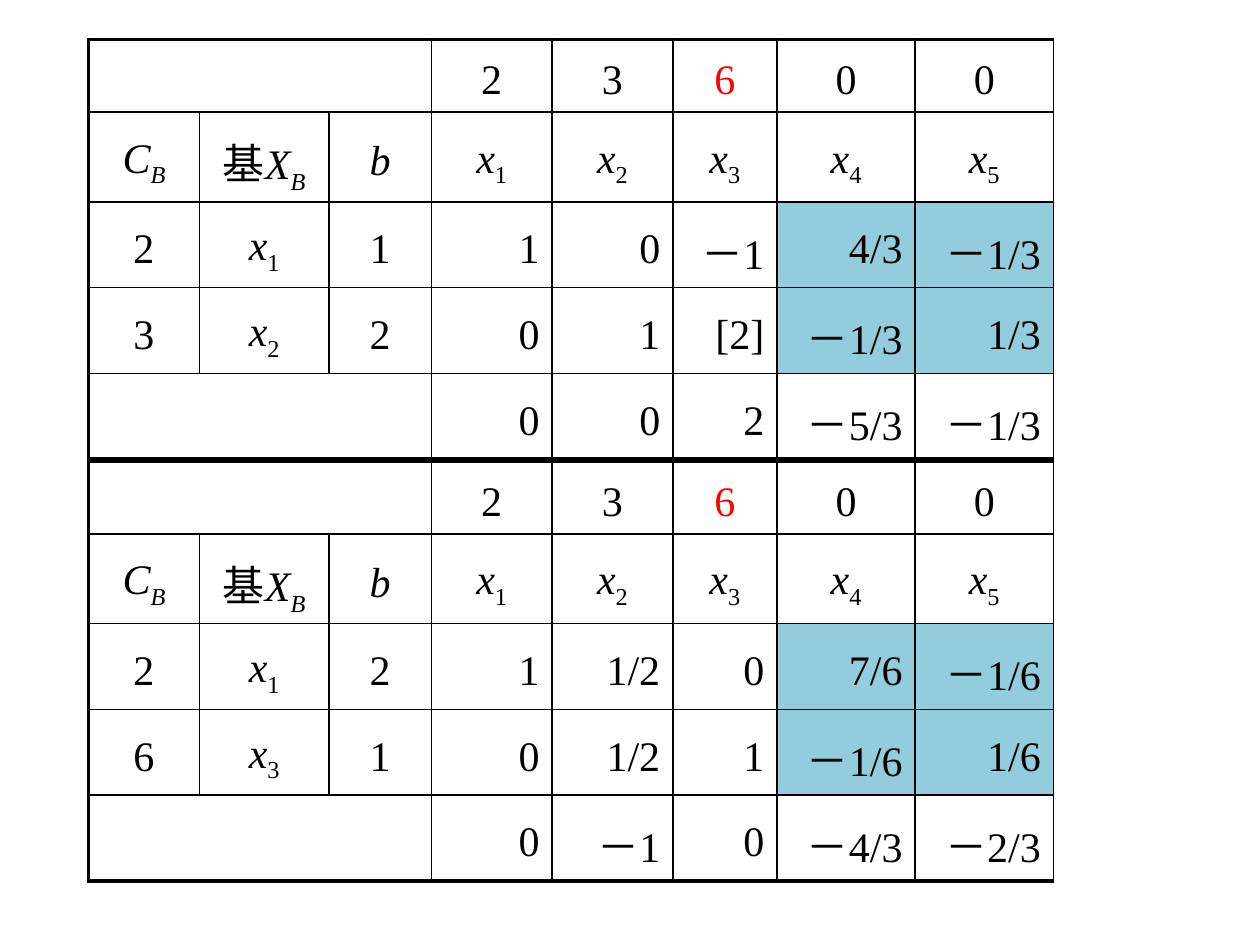
"""Build a slide with two consecutive simplex tableaux."""
from dataclasses import dataclass
from itertools import groupby

from lxml.etree import SubElement
from pptx import Presentation
from pptx.dml.color import RGBColor
from pptx.enum.text import MSO_ANCHOR, PP_ALIGN
from pptx.oxml.ns import qn
from pptx.util import Pt

BLACK = RGBColor(0x00, 0x00, 0x00)
RED = RGBColor(0xFF, 0x00, 0x00)
WHITE = RGBColor(0xFF, 0xFF, 0xFF)
BLUE = RGBColor(0x93, 0xCD, 0xDD)
FONT = "Times New Roman"
SIZE = Pt(24)
THIN, THICK = Pt(1), Pt(2.25)
LEFT = Pt(50.5)
COLUMN_WIDTHS = [Pt(w) for w in (63.5, 74, 58.5, 69, 69, 59.5, 79, 79)]
ROW_HEIGHTS = [Pt(h) for h in (41.5, 42.5, 46.5, 41.5, 41.5)]
LABEL_COLUMNS = 3
ENTERING_COLUMN = 5
SLACK_COLUMNS = (6, 7)
BASIS_ROWS = (2, 3)
LAST_ROW = len(ROW_HEIGHTS) - 1
COSTS = ["", "", "", "2", "3", "6", "0", "0"]
HEADINGS = ["C_B", "基X_B", "b", "x_1", "x_2", "x_3", "x_4", "x_5"]


@dataclass(frozen=True)
class Tableau:
    top: Pt
    basis: list[list[str]]
    reduced_costs: list[str]


TABLEAUX = [
    Tableau(
        Pt(22.5),
        [
            ["2", "x_1", "1", "1", "0", "－1", "4/3", "－1/3"],
            ["3", "x_2", "2", "0", "1", "[2]", "－1/3", "1/3"],
        ],
        ["", "", "", "0", "0", "2", "－5/3", "－1/3"],
    ),
    Tableau(
        Pt(263.5),
        [
            ["2", "x_1", "2", "1", "1/2", "0", "7/6", "－1/6"],
            ["6", "x_3", "1", "0", "1/2", "1", "－1/6", "1/6"],
        ],
        ["", "", "", "0", "－1", "0", "－4/3", "－2/3"],
    ),
]


def is_variable(letter: str) -> bool:
    return letter.isascii() and letter.isalpha()


def write_entry(cell, entry: str, color: RGBColor, align: PP_ALIGN) -> None:
    """Write an entry with italic letters and a subscript after the underscore."""
    cell.vertical_anchor = MSO_ANCHOR.MIDDLE
    line = cell.text_frame.paragraphs[0]
    line.alignment = align
    line.line_spacing = 1.2
    base, _, subscript = entry.partition("_")
    for part, baseline in ((base, 0), (subscript, -25000)):
        for italic, letters in groupby(part, is_variable):
            run = line.add_run()
            run.text = "".join(letters)
            run.font.name = FONT
            run.font.size = SIZE
            run.font.italic = italic
            run.font.color.rgb = color
            if baseline:
                run.font._element.set("baseline", str(baseline))


def draw_borders(cell, row: int, column: int) -> None:
    """Rule all four sides, thick on the left, top and bottom of the tableau."""
    thick_sides = {"L": column == 0, "R": False, "T": row == 0, "B": row == LAST_ROW}
    properties = cell._tc.get_or_add_tcPr()
    for side, thick in thick_sides.items():
        width = THICK if thick else THIN
        border = SubElement(properties, qn(f"a:ln{side}"), w=str(int(width)))
        fill = SubElement(border, qn("a:solidFill"))
        SubElement(fill, qn("a:srgbClr"), val=str(BLACK))


def draw_tableau(slide, tableau: Tableau) -> None:
    """Draw one tableau as a table."""
    entries = [COSTS, HEADINGS, *tableau.basis, tableau.reduced_costs]
    table = slide.shapes.add_table(
        len(ROW_HEIGHTS), len(COLUMN_WIDTHS), LEFT, tableau.top,
        sum(COLUMN_WIDTHS), sum(ROW_HEIGHTS),
    ).table
    table.first_row = table.horz_banding = False
    for column, width in zip(table.columns, COLUMN_WIDTHS):
        column.width = width
    for row, height in zip(table.rows, ROW_HEIGHTS):
        row.height = height
    for r, row_entries in enumerate(entries):
        for c, entry in enumerate(row_entries):
            cell = table.cell(r, c)
            draw_borders(cell, r, c)
            cell.fill.solid()
            highlighted = r in BASIS_ROWS and c in SLACK_COLUMNS
            cell.fill.fore_color.rgb = BLUE if highlighted else WHITE
            centred = r < BASIS_ROWS[0] or c < LABEL_COLUMNS
            color = RED if (r, c) == (0, ENTERING_COLUMN) else BLACK
            write_entry(cell, entry, color, PP_ALIGN.CENTER if centred else PP_ALIGN.RIGHT)
    for r in (0, LAST_ROW):
        table.cell(r, 0).merge(table.cell(r, LABEL_COLUMNS - 1))


def main() -> None:
    deck = Presentation()
    deck.slide_width, deck.slide_height = Pt(720), Pt(540)
    slide = deck.slides.add_slide(deck.slide_layouts[6])
    for tableau in TABLEAUX:
        draw_tableau(slide, tableau)
    deck.save("out.pptx")


if __name__ == "__main__":
    main()
